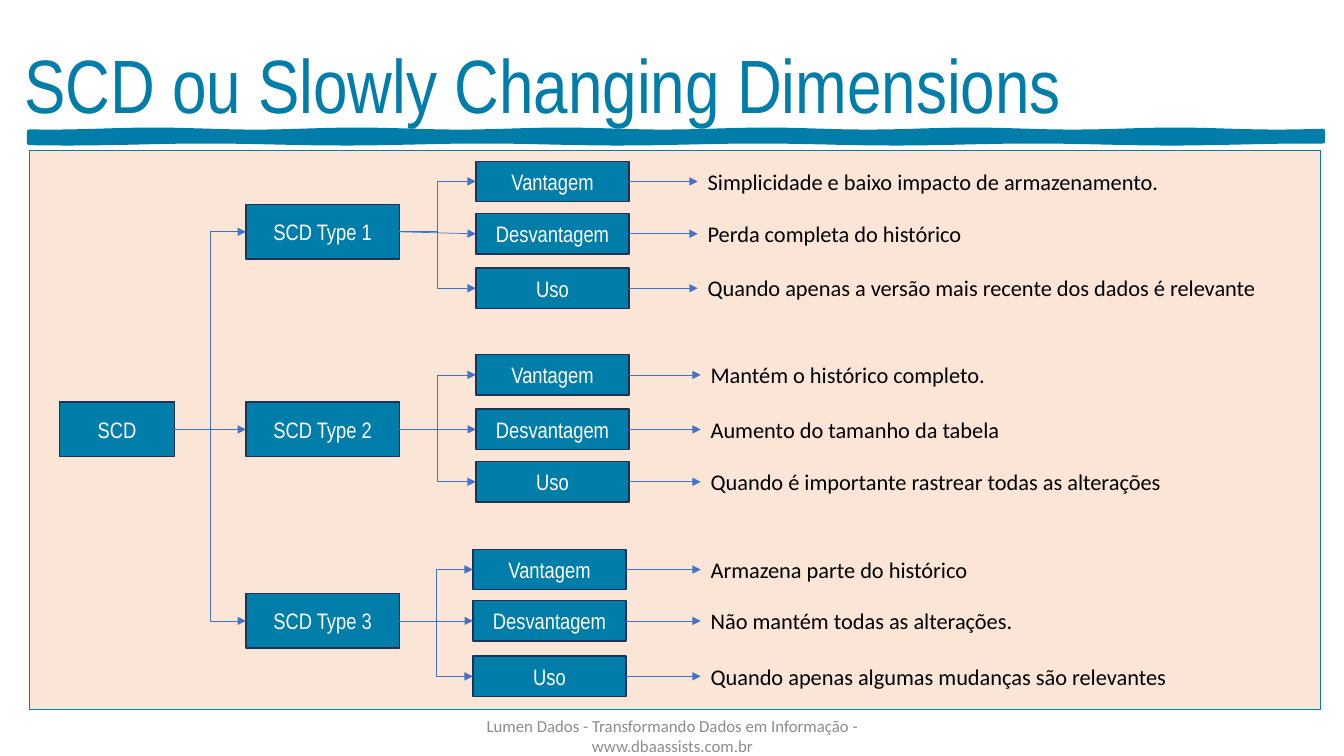
import math
from dataclasses import dataclass

import lxml.etree
import pptx
import pptx.dml.color
import pptx.enum.shapes
import pptx.enum.text
import pptx.oxml.ns
import pptx.util
from pptx.util import Inches

TEAL, NAVY, PEACH = "007DA9", "1E3256", "FBE5D6"
ARROW_BLUE, GREY, WHITE, BLACK = "4472C4", "8C8C8C", "FFFFFF", "000000"
ANCHOR = pptx.enum.text.MSO_ANCHOR
ALIGN = pptx.enum.text.PP_ALIGN
FIT = pptx.enum.text.MSO_AUTO_SIZE
CONNECTOR = pptx.enum.shapes.MSO_CONNECTOR
LEFT_SIDE, RIGHT_SIDE = 1, 3

ROOT_TOP = 3.99
TYPE_HEIGHT, ASPECT_HEIGHT, FACT_HEIGHT = 0.54, 0.4, 0.37
BOX_WIDTH = 1.52


@dataclass(frozen=True)
class Aspect:
    label: str
    top: float
    fact: str
    fact_width: float


@dataclass(frozen=True)
class Branch:
    label: str
    left: float
    top: float
    aspect_left: float
    fact_left: float
    aspects: tuple[Aspect, ...]


BRANCHES = (
    Branch("SCD Type 1", 2.44, 2.03, 4.72, 6.92, (
        Aspect("Vantagem", 1.6, "Simplicidade e baixo impacto de armazenamento.", 5.95),
        Aspect("Desvantagem", 2.12, "Perda completa do histórico", 3.96),
        Aspect("Uso", 2.66, "Quando apenas a versão mais recente dos dados é relevante", 6.4),
    )),
    Branch("SCD Type 2", 2.44, ROOT_TOP, 4.72, 6.95, (
        Aspect("Vantagem", 3.52, "Mantém o histórico completo.", 4.09),
        Aspect("Desvantagem", 4.06, "Aumento do tamanho da tabela", 3.77),
        Aspect("Uso", 4.58, "Quando é importante rastrear todas as alterações", 4.87),
    )),
    Branch("SCD Type 3", 2.44, 5.89, 4.69, 6.95, (
        Aspect("Vantagem", 5.45, "Armazena parte do histórico", 2.94),
        Aspect("Desvantagem", 5.96, "Não mantém todas as alterações.", 3.38),
        Aspect("Uso", 6.51, "Quando apenas algumas mudanças são relevantes", 4.87),
    )),
)


def colour(target, value: str) -> None:
    """Give a fill, or the colour of a font, one solid colour."""
    target.solid()
    target.fore_color.rgb = pptx.dml.color.RGBColor.from_string(value)


def apply(target, values: dict) -> None:
    for name, value in values.items():
        setattr(target, name, value)


def write(shape, text: str, font: str, size: float, ink: str,
          align=ALIGN.LEFT, anchor=ANCHOR.TOP, fit=FIT.NONE) -> None:
    frame = shape.text_frame
    apply(frame, {"word_wrap": True, "auto_size": fit, "vertical_anchor": anchor})
    para = frame.paragraphs[0]
    para.alignment = align
    span = para.add_run()
    span.text = text
    apply(span.font, {"name": font, "size": pptx.util.Pt(size), "bold": False})
    colour(span.font.fill, ink)


def paint(shape, fill: str, line: str, width: float) -> None:
    shape.shadow.inherit = False
    colour(shape.fill, fill)
    colour(shape.line.fill, line)
    shape.line.width = pptx.util.Pt(width)


def add_box(page, left: float, top: float, width: float, height: float,
            fill: str = TEAL, line: str = NAVY):
    box = page.shapes.add_shape(
        pptx.enum.shapes.MSO_SHAPE.RECTANGLE,
        Inches(left), Inches(top), Inches(width), Inches(height))
    paint(box, fill, line, 1)
    return box


def add_node(page, label: str, left: float, top: float, width: float, height: float):
    node = add_box(page, left, top, width, height)
    write(node, label, "Arial Narrow", 16, WHITE, ALIGN.CENTER, ANCHOR.MIDDLE)
    return node


def add_text_box(page, left: float, top: float, width: float, height: float):
    return page.shapes.add_textbox(
        Inches(left), Inches(top), Inches(width), Inches(height))


def join(page, source, target, kind=CONNECTOR.STRAIGHT) -> None:
    """Draw an arrow from the right side of one box to the left side of another."""
    arrow = page.shapes.add_connector(kind, 0, 0, 0, 0)
    arrow.begin_connect(source, RIGHT_SIDE)
    arrow.end_connect(target, LEFT_SIDE)
    colour(arrow.line.fill, ARROW_BLUE)
    arrow.line.width = pptx.util.Pt(0.5)
    qn = pptx.oxml.ns.qn
    lxml.etree.SubElement(arrow.line._get_or_add_ln(), qn("a:tailEnd"), type="triangle")
    lxml.etree.SubElement(arrow.element.spPr, qn("a:effectLst"))


def add_brush_stroke(page) -> None:
    """Draw a band whose upper and lower edges wave independently."""
    left, width, top, bottom, steps = 0.29, 12.83, 1.3, 1.41, 120
    xs = [left + width * step / steps for step in range(steps + 1)]
    upper = [(x, top + 0.01 * math.sin(3.1 * x)) for x in xs]
    lower = [(x, bottom + 0.01 * math.sin(2.3 * x)) for x in reversed(xs)]
    outline = [(Inches(x), Inches(y)) for x, y in upper + lower]
    builder = page.shapes.build_freeform(*outline[0])
    builder.add_line_segments(outline[1:], close=True)
    paint(builder.convert_to_shape(), TEAL, TEAL, 3.5)


def add_branch(page, root, branch: Branch) -> None:
    node = add_node(page, branch.label, branch.left, branch.top, BOX_WIDTH, TYPE_HEIGHT)
    level = branch.top == ROOT_TOP
    join(page, root, node, CONNECTOR.STRAIGHT if level else CONNECTOR.ELBOW)
    for index, aspect in enumerate(branch.aspects):
        aspect_node = add_node(page, aspect.label, branch.aspect_left, aspect.top,
                               BOX_WIDTH, ASPECT_HEIGHT)
        join(page, node, aspect_node,
             CONNECTOR.STRAIGHT if index == 1 else CONNECTOR.ELBOW)
        fact_top = aspect.top + (ASPECT_HEIGHT - FACT_HEIGHT) / 2
        fact = add_text_box(page, branch.fact_left, fact_top,
                            aspect.fact_width, FACT_HEIGHT)
        write(fact, aspect.fact, "Calibri", 16, BLACK, fit=FIT.SHAPE_TO_FIT_TEXT)
        join(page, aspect_node, fact)


def main() -> None:
    deck = pptx.Presentation()
    apply(deck, {"slide_width": Inches(13.33), "slide_height": Inches(7.5)})
    page = deck.slides.add_slide(deck.slide_layouts[5])

    # Title, panel and brush stroke
    title = page.shapes.title
    apply(title, {"left": Inches(0.14), "top": Inches(0.33),
                  "width": Inches(13.19), "height": Inches(1.01)})
    write(title, "SCD ou Slowly Changing Dimensions", "Arial Narrow", 54, TEAL)
    add_box(page, 0.29, 1.49, 12.81, 5.55, PEACH, TEAL)
    add_brush_stroke(page)

    # Tree of dimension types
    root = add_node(page, "SCD", 0.59, ROOT_TOP, 1.14, TYPE_HEIGHT)
    for branch in BRANCHES:
        add_branch(page, root, branch)

    # Footer
    footer = add_text_box(page, 4.42, 7.1, 4.5, 0.4)
    write(footer, "Lumen Dados - Transformando Dados em Informação - www.dbaassists.com.br",
          "Calibri", 12, GREY, ALIGN.CENTER, ANCHOR.MIDDLE)

    deck.save("out.pptx")


if __name__ == "__main__":
    main()
